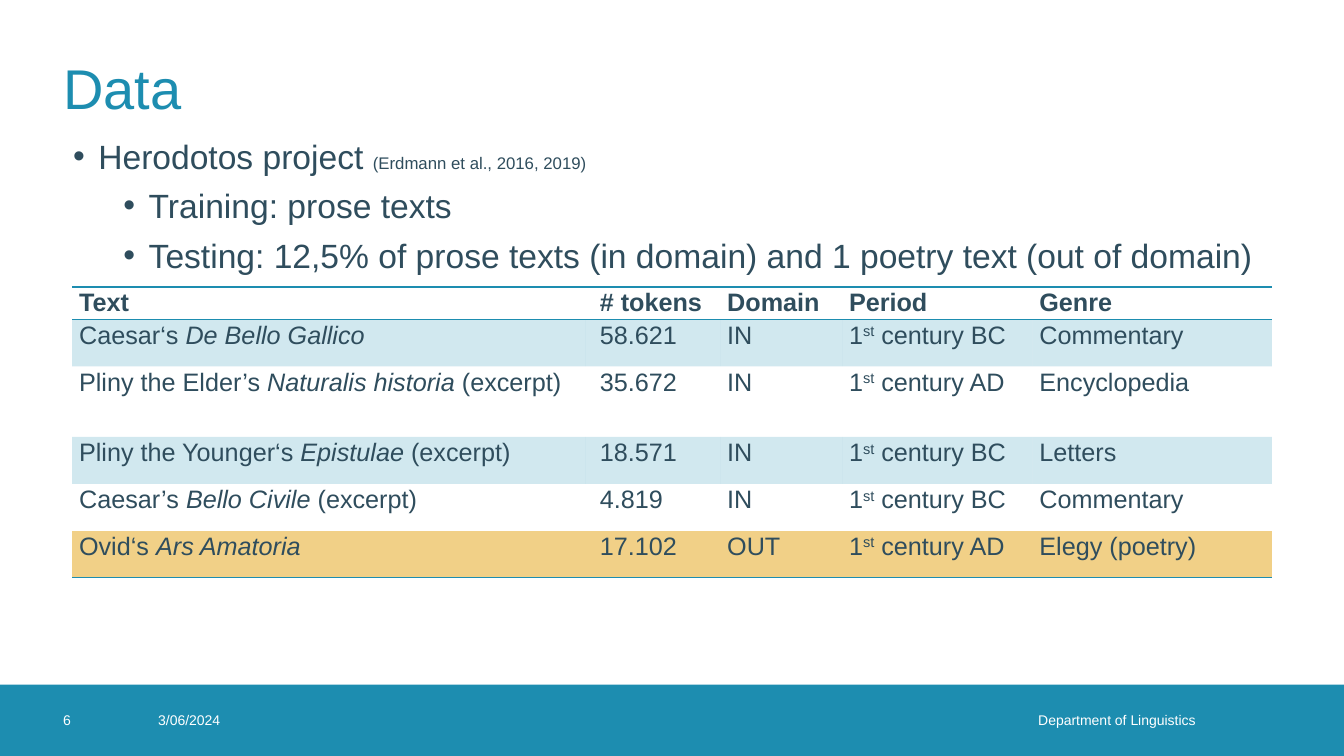
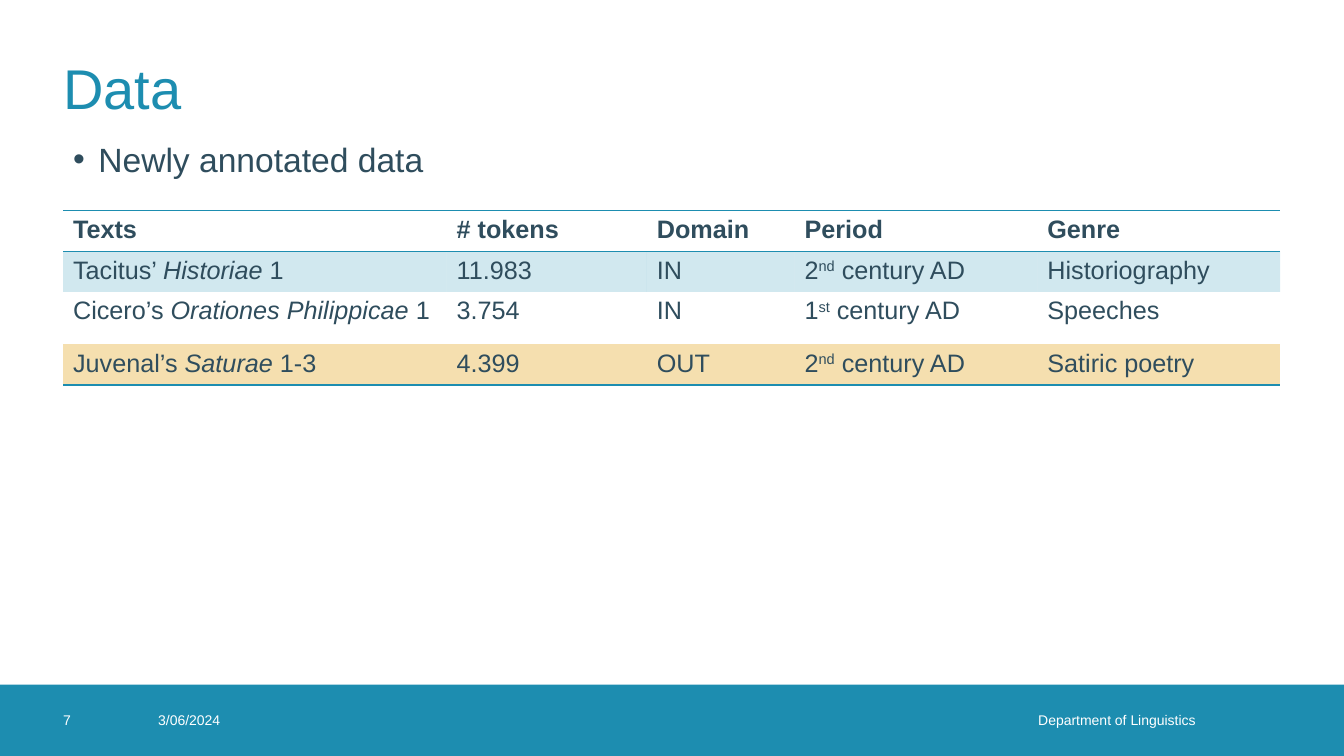
import pptx
import pptx.dml.color
import pptx.enum.shapes
import pptx.enum.text
import pptx.oxml
import pptx.oxml.ns
import pptx.util

Pt = pptx.util.Pt
PP_ALIGN = pptx.enum.text.PP_ALIGN
MIDDLE = pptx.enum.text.MSO_ANCHOR.MIDDLE
NS = pptx.oxml.ns.nsdecls("a")

FONT = "Arial"
TEAL, INK, WHITE = "1D8DB0", "2F4D5D", "FFFFFF"
LEFT, WIDTH = 45, 869
BAND_TOP, BAND_HEIGHT = 489, 51


def rgb(value):
    return pptx.dml.color.RGBColor.from_string(value)


def write(p, text, size, color, bold=False):
    for part in text.split("|"):
        r = p.add_run()
        r.text = part.lstrip("_^~")
        r.font.name = FONT
        r.font.size = Pt(12 if part.startswith("~") else size)
        r.font.color.rgb = rgb(color)
        r.font.bold = bold
        r.font.italic = part.startswith("_")
        if part.startswith("^"):
            r.font._element.set("baseline", "30000")


slides = [
    {
        "number": "6",
        "body_top": 92,
        "body_height": 390,
        "bullets": [
            (0, "Herodotos project |~(Erdmann et al., 2016, 2019)"),
            (1, "Training: prose texts"),
            (1, "Testing: 12,5% of prose texts (in domain) and 1 poetry text (out of domain)"),
        ],
        "table_left": 51.5,
        "table_top": 205,
        "columns": [367, 96, 87, 136, 171],
        "heights": [21.5, 33.5, 50.5, 33.5, 33.5, 33.5],
        "margins": [5, 10, 5, 5, 5],
        "margin_top": 0,
        "line_spacing": 1.07,
        "highlight": "F1D087",
        "rows": [
            ["Text", "# tokens", "Domain", "Period", "Genre"],
            ["Caesar‘s |_De Bello Gallico", "58.621", "IN", "1|^st| century BC", "Commentary"],
            ["Pliny the Elder’s |_Naturalis historia |(excerpt)", "35.672", "IN",
             "1|^st| century AD", "Encyclopedia"],
            ["Pliny the Younger‘s |_Epistulae| (excerpt)", "18.571", "IN",
             "1|^st| century BC", "Letters"],
            ["Caesar’s |_Bello Civile |(excerpt)", "4.819", "IN", "1|^st| century BC", "Commentary"],
            ["Ovid‘s |_Ars Amatoria", "17.102", "OUT", "1|^st| century AD", "Elegy (poetry)"],
        ],
    },
    {
        "number": "7",
        "body_top": 94,
        "body_height": 351,
        "bullets": [(0, "Newly annotated data")],
        "table_left": LEFT,
        "table_top": 150.5,
        "columns": [274, 143, 105.5, 173.5, 173.5],
        "heights": [29, 29, 37.5, 29],
        "margins": [7.2] * 5,
        "margin_top": 3.6,
        "line_spacing": 1,
        "highlight": "F5DFAF",
        "rows": [
            ["Texts", "# tokens", "Domain", "Period", "Genre"],
            ["Tacitus’ |_Historiae| 1", "11.983", "IN", "2|^nd| century AD", "Historiography"],
            ["Cicero’s |_Orationes Philippicae |1", "3.754", "IN", "1|^st| century AD", "Speeches"],
            ["Juvenal’s |_Saturae| 1-3", "4.399", "OUT", "2|^nd| century AD", "Satiric poetry"],
        ],
    },
]

prs = pptx.Presentation()
prs.slide_width, prs.slide_height = Pt(960), Pt(540)

for data in slides:
    s = prs.slides.add_slide(prs.slide_layouts[1])

    band = s.shapes.add_shape(
        pptx.enum.shapes.MSO_SHAPE.RECTANGLE, 0, Pt(BAND_TOP), Pt(960), Pt(BAND_HEIGHT))
    band.shadow.inherit = False
    band.fill.solid()
    band.fill.fore_color.rgb = rgb(TEAL)
    band.line.fill.background()

    for left, width, inset, align, text in [
        (LEFT, 51, 0, PP_ALIGN.LEFT, data["number"]),
        (113, 57, 0, PP_ALIGN.LEFT, "3/06/2024"),
        (475, 393, 14, PP_ALIGN.RIGHT, "Department of Linguistics"),
    ]:
        sp = s.shapes.add_textbox(Pt(left), Pt(BAND_TOP), Pt(width), Pt(BAND_HEIGHT))
        tf = sp.text_frame
        tf.word_wrap = True
        tf.vertical_anchor = MIDDLE
        tf.margin_left = tf.margin_top = tf.margin_bottom = 0
        tf.margin_right = Pt(inset)
        tf.paragraphs[0].alignment = align
        write(tf.paragraphs[0], text, 10, WHITE)

    title = s.shapes.title
    title.left, title.top, title.width, title.height = Pt(LEFT), Pt(17), Pt(WIDTH), Pt(91)
    tf = title.text_frame
    tf.vertical_anchor = MIDDLE
    tf.margin_left = tf.margin_right = tf.margin_top = tf.margin_bottom = 0
    tf.paragraphs[0].alignment = PP_ALIGN.LEFT
    write(tf.paragraphs[0], "Data", 40, TEAL)

    body = s.placeholders[1]
    body.left, body.top = Pt(LEFT), Pt(data["body_top"])
    body.width, body.height = Pt(WIDTH), Pt(data["body_height"])
    tf = body.text_frame
    tf.auto_size = pptx.enum.text.MSO_AUTO_SIZE.NONE
    for i, (level, text) in enumerate(data["bullets"]):
        p = tf.add_paragraph() if i else tf.paragraphs[0]
        p.level = level
        p.line_spacing = 1.05
        p.space_before = Pt(5 if i else 0)
        pPr = p._p.get_or_add_pPr()
        pPr.set("marL", str(Pt(18 + 36 * level)))
        pPr.set("indent", str(Pt(-18)))
        pPr.append(pptx.oxml.parse_xml(f'<a:buChar {NS} char="•"/>'))
        write(p, text, 24, INK)

    rows, columns, heights = data["rows"], data["columns"], data["heights"]
    last = len(rows) - 1
    table = s.shapes.add_table(
        len(rows), len(columns), Pt(data["table_left"]), Pt(data["table_top"]),
        Pt(sum(columns)), Pt(sum(heights))).table
    table.first_row = table.horz_banding = False
    for column, width in zip(table.columns, columns):
        column.width = Pt(width)
    for i, values in enumerate(rows):
        table.rows[i].height = Pt(heights[i])
        for j, text in enumerate(values):
            cell = table.cell(i, j)
            cell.margin_left, cell.margin_right = Pt(data["margins"][j]), Pt(5)
            cell.margin_top = cell.margin_bottom = Pt(data["margin_top"])
            p = cell.text_frame.paragraphs[0]
            p.line_spacing = data["line_spacing"]
            write(p, text, 18, INK, bold=i == 0)

            tcPr = cell._tc.get_or_add_tcPr()
            if i == last or i % 2:
                cell.fill.solid()
                cell.fill.fore_color.rgb = rgb(data["highlight"] if i == last else TEAL)
                if i != last:
                    color = tcPr.xpath(".//a:srgbClr")[0]
                    color.append(pptx.oxml.parse_xml(f'<a:alpha {NS} val="20000"/>'))
            else:
                cell.fill.background()

            ruled = {"T": i in (0, 1), "B": i in (0, last)}
            for k, side in enumerate("LRTB"):
                paint = "<a:noFill/>"
                if ruled.get(side):
                    paint = f'<a:solidFill><a:srgbClr val="{TEAL}"/></a:solidFill>'
                tcPr.insert(k, pptx.oxml.parse_xml(
                    f'<a:ln{side} {NS} w="{Pt(1)}">{paint}</a:ln{side}>'))

prs.save("out.pptx")
